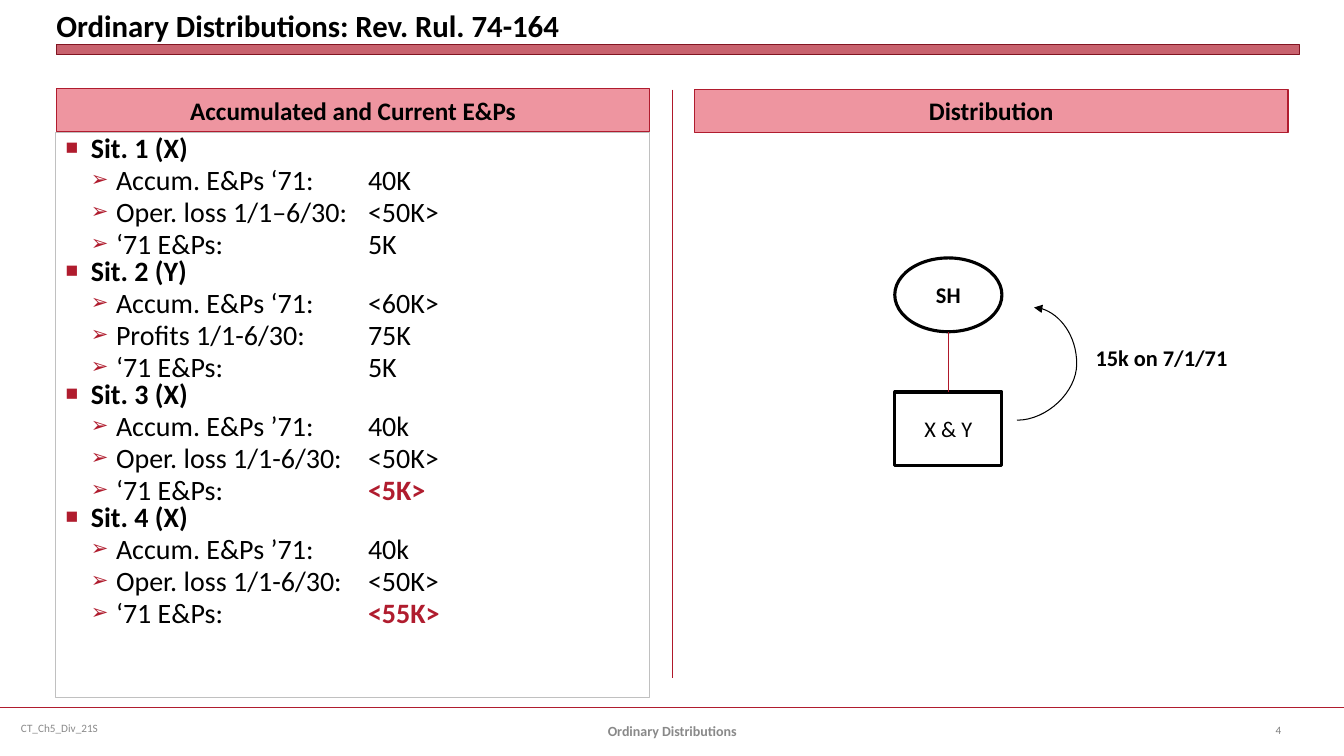
from lxml import etree
from pptx import Presentation, util as u
from pptx.dml.color import RGBColor
from pptx.enum import shapes, text
from pptx.oxml.ns import qn

COLORS = {"black": "000000", "white": "FFFFFF", "red": "B01C2E", "divider": "B0182A",
          "dark red": "821522", "pink": "EE95A0", "silver": "C0C0C0",
          "grey": "898989", "page grey": "808080"}
FONT = "Calibri"
CENTER, LEFT = text.PP_ALIGN.CENTER, text.PP_ALIGN.LEFT
MIDDLE = text.MSO_ANCHOR.MIDDLE

# Heading, then label, amount and whether the amount stands out
SITUATIONS = [
    ("Sit. 1 (X)", [("Accum. E&Ps ‘71:", "40K", False),
                    ("Oper. loss 1/1–6/30:", "<50K>", False),
                    ("‘71 E&Ps:", "5K", False)]),
    ("Sit. 2 (Y)", [("Accum. E&Ps ‘71:", "<60K>", False),
                    ("Profits 1/1-6/30:", "75K", False),
                    ("‘71 E&Ps:", "5K", False)]),
    ("Sit. 3 (X)", [("Accum. E&Ps ’71:", "40k", False),
                    ("Oper. loss 1/1-6/30:", "<50K>", False),
                    ("‘71 E&Ps:", "<5K>", True)]),
    ("Sit. 4 (X)", [("Accum. E&Ps ’71:", "40k", False),
                    ("Oper. loss 1/1-6/30:", "<50K>", False),
                    ("‘71 E&Ps:", "<55K>", True)]),
]


def rgb(name):
    return RGBColor.from_string(COLORS[name])


def add_xml(parent, tag, **attributes):
    return etree.SubElement(parent, qn(tag), attributes)


def move(shape, left, top, width, height):
    shape.left, shape.top = u.Cm(left), u.Cm(top)
    shape.width, shape.height = u.Cm(width), u.Cm(height)


def paint(shape, fill=None, line=None, weight=0.75):
    if fill:
        shape.fill.solid()
        shape.fill.fore_color.rgb = rgb(fill)
    else:
        shape.fill.background()
    shape.line.color.rgb = rgb(line)
    shape.line.width = u.Pt(weight)


def add_run(paragraph, content, size=20, bold=False, color="black"):
    run = paragraph.add_run()
    run.text = content
    run.font.name, run.font.size, run.font.bold = FONT, u.Pt(size), bold
    run.font.color.rgb = rgb(color)


def write(shape, content, align=LEFT, anchor=MIDDLE, **run_format):
    frame = shape.text_frame
    frame.auto_size = text.MSO_AUTO_SIZE.NONE
    frame.word_wrap = True
    frame.vertical_anchor = anchor
    paragraph = frame.paragraphs[0]
    paragraph.alignment = align
    paragraph.space_before = u.Pt(0)
    add_run(paragraph, content, **run_format)


def add_label(slide, box, content, **text_format):
    label = slide.shapes.add_textbox(*(u.Cm(length) for length in box))
    write(label, content, **text_format)


def add_line(slide, start, end, color, weight=0.75, kind=shapes.MSO_CONNECTOR.STRAIGHT):
    points = [u.Cm(length) for length in (*start, *end)]
    connector = slide.shapes.add_connector(kind, *points)
    connector.line.color.rgb = rgb(color)
    connector.line.width = u.Pt(weight)
    add_xml(connector._element.spPr, "a:effectLst")
    return connector


def add_footer(slide, left, top, width):
    add_line(slide, (left, top), (left + width, top), "red", 1.25)
    add_label(slide, (left + 0.28, top, 8.74, 1.02), "CT_Ch5_Div_21S", size=8, color="grey")
    add_label(slide, (left + 11.58, top + 0.08, 10.72, 1.02), "Ordinary Distributions",
              align=CENTER, size=10, bold=True, color="grey")
    add_label(slide, (left + 31.9, top + 0.05, 1.7, 1.02), "4", size=8, color="page grey")


def add_title(slide, left, top, width):
    title = slide.shapes.title
    move(title, left, top, width, 1.09)
    write(title, "Ordinary Distributions: Rev. Rul. 74-164",
          anchor=text.MSO_ANCHOR.BOTTOM, size=22, bold=True)
    frame = title.text_frame
    frame.margin_left = frame.margin_right = frame.margin_top = frame.margin_bottom = 0
    # Translucent bar under the title
    bar = slide.shapes.add_shape(shapes.MSO_SHAPE.RECTANGLE, u.Cm(left), u.Cm(top + 1.13),
                                 u.Cm(width), u.Cm(0.25))
    bar.shadow.inherit = False
    paint(bar, "red", "dark red", 0)
    fill_color = bar._element.spPr.find(qn("a:solidFill")).find(qn("a:srgbClr"))
    add_xml(fill_color, "a:alpha", val="69000")


def add_heading(placeholder, left, top, width, content):
    move(placeholder, left, top, width, 1.07)
    paint(placeholder, "pink", "red")
    write(placeholder, content, align=CENTER, size=18, bold=True)


def format_bullet(paragraph, mark, indent, space):
    paragraph.line_spacing = 0.8
    paragraph.space_before = u.Pt(space)
    properties = paragraph._p.get_or_add_pPr()
    properties.set("marL", str(u.Cm(indent)))
    properties.set("indent", str(u.Cm(-0.635)))
    add_xml(add_xml(properties, "a:buClr"), "a:srgbClr", val=COLORS["red"])
    add_xml(properties, "a:buSzPct", val="75000")
    add_xml(properties, "a:buFont", typeface="Arial")
    add_xml(properties, "a:buChar", char=mark)
    add_xml(add_xml(properties, "a:tabLst"), "a:tab", pos=str(u.Cm(7.62)), algn="l")


def add_situations(heading, body, left, top, width):
    add_heading(heading, left, top, width, "Accumulated and Current E&Ps")
    move(body, left - 0.02, top + 1.09, width, 14.25)
    paint(body, "white", "silver")
    frame = body.text_frame
    frame.auto_size = text.MSO_AUTO_SIZE.NONE
    for number, (name, entries) in enumerate(SITUATIONS):
        paragraph = frame.add_paragraph() if number else frame.paragraphs[0]
        format_bullet(paragraph, "■", 0.635, 0.2 if number else 0)
        add_run(paragraph, name, bold=True)
        for label, amount, stands_out in entries:
            paragraph = frame.add_paragraph()
            paragraph.level = 1
            format_bullet(paragraph, "➢", 1.27, 3.6)
            add_run(paragraph, label + "\t")
            add_run(paragraph, amount, bold=stands_out, color="red" if stands_out else "black")


def add_distribution(slide, heading, left, top, width):
    add_heading(heading, left, top, width, "Distribution")
    # Shareholder above the corporations
    node_left, node_width, node_height = left + 5.05, 2.7, 1.86
    holder_top, corporation_top = top + 4.24, top + 7.62
    for kind, node_top, name, bold in (
            (shapes.MSO_SHAPE.OVAL, holder_top, "SH", True),
            (shapes.MSO_SHAPE.RECTANGLE, corporation_top, "X & Y", False)):
        node = slide.shapes.add_shape(kind, u.Cm(node_left), u.Cm(node_top),
                                      u.Cm(node_width), u.Cm(node_height))
        node.shadow.inherit = False
        paint(node, line="black", weight=2.25)
        write(node, name, align=CENTER, size=16, bold=bold)
    middle = node_left + node_width / 2
    add_line(slide, (middle, holder_top + node_height), (middle, corporation_top), "divider")
    # Curved arrow for the payment
    arrow = add_line(slide, (left + 8.13, top + 8.33), (left + 8.56, top + 5.49), "black",
                     kind=shapes.MSO_CONNECTOR.CURVE)
    properties = arrow._element.spPr
    add_xml(properties.find(qn("a:ln")), "a:tailEnd", type="triangle")
    adjustments = properties.find(qn("a:prstGeom")).find(qn("a:avLst"))
    add_xml(adjustments, "a:gd", name="adj1", fmla="val 350000")
    add_label(slide, (left + 9.86, top + 6.27, 4.52, 0.94), "15k on 7/1/71", size=16, bold=True)


def main():
    presentation = Presentation()
    presentation.slide_width, presentation.slide_height = u.Cm(33.87), u.Cm(19.05)
    slide = presentation.slides.add_slide(presentation.slide_layouts.get_by_name("Comparison"))
    title, left_heading, left_body, right_heading, spare = slide.placeholders
    spare._element.getparent().remove(spare._element)

    add_footer(slide, 0, 17.83, 33.87)
    add_title(slide, 1.42, 0, 31.32)
    add_situations(left_heading, left_body, 1.42, 2.24, 14.96)
    add_line(slide, (16.94, 2.26), (16.94, 17.09), "divider")
    add_distribution(slide, right_heading, 17.5, 2.26, 14.96)
    presentation.save("out.pptx")


if __name__ == "__main__":
    main()
